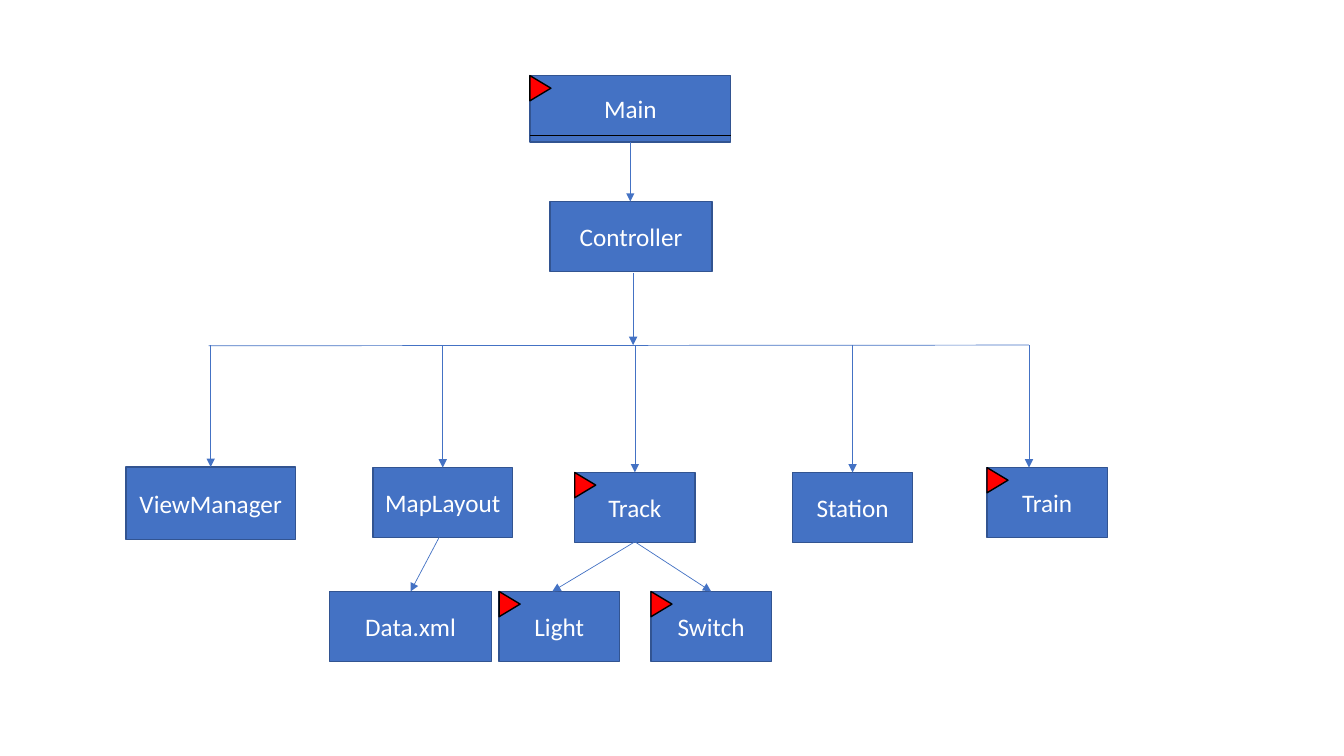
import dataclasses

import lxml.etree
import pptx
import pptx.dml.color
import pptx.enum.shapes
import pptx.enum.text
import pptx.oxml.ns
import pptx.util

Pt = pptx.util.Pt
SHAPE = pptx.enum.shapes.MSO_SHAPE
qn = pptx.oxml.ns.qn


@dataclasses.dataclass(frozen=True)
class Theme:
    node: str = "4472C4"
    node_edge: str = "325491"
    arrow: str = "4472C4"
    flag: str = "FF0000"
    ink: str = "000000"
    label: str = "FFFFFF"
    font: str = "Calibri"
    label_size: float = 18
    edge_width: float = 1
    arrow_width: float = 0.5


@dataclasses.dataclass(frozen=True)
class Box:
    left: float
    top: float
    width: float
    height: float

    @property
    def center(self):
        return self.left + self.width / 2

    @property
    def right(self):
        return self.left + self.width

    @property
    def bottom(self):
        return self.top + self.height

    def inner(self, x, y, width, height):
        return Box(self.left + x, self.top + y, width, height)


THEME = Theme()
NODE_HEIGHT = 50
FLAG_WIDTH, FLAG_HEIGHT = 15, 18


def rgb(value):
    return pptx.dml.color.RGBColor.from_string(value)


def apply(target, formats):
    for name, value in formats.items():
        setattr(target, name, value)


def add_block(slide, kind, box, fill, edge):
    block = slide.shapes.add_shape(
        kind, Pt(box.left), Pt(box.top), Pt(box.width), Pt(box.height))
    block.shadow.inherit = False
    block.fill.solid()
    block.fill.fore_color.rgb = rgb(fill)
    block.line.color.rgb = rgb(edge)
    block.line.width = Pt(THEME.edge_width)
    return block


def add_line(slide, start, end, color=THEME.arrow, arrow=True):
    line = slide.shapes.add_connector(
        pptx.enum.shapes.MSO_CONNECTOR.STRAIGHT, *map(Pt, start + end))
    line.line.color.rgb = rgb(color)
    line.line.width = Pt(THEME.arrow_width)
    if arrow:
        lxml.etree.SubElement(line.line._get_or_add_ln(), qn("a:tailEnd"), type="triangle")
    lxml.etree.SubElement(line._element.spPr, qn("a:effectLst"))


def add_flag(slide, node):
    """Put a right-pointing triangle in the node's top left corner."""
    # The unrotated frame shares its center with the upright one.
    shift = (FLAG_HEIGHT - FLAG_WIDTH) / 2
    frame = node.inner(-shift, shift, FLAG_HEIGHT, FLAG_WIDTH)
    flag = add_block(slide, SHAPE.ISOSCELES_TRIANGLE, frame, THEME.flag, THEME.ink)
    flag.rotation = 90


def add_node(slide, text, box, flagged=False):
    node = add_block(slide, SHAPE.RECTANGLE, box, THEME.node, THEME.node_edge)
    apply(node.text_frame, {
        "text": text, "word_wrap": False,
        "vertical_anchor": pptx.enum.text.MSO_ANCHOR.MIDDLE})
    paragraph = node.text_frame.paragraphs[0]
    paragraph.alignment = pptx.enum.text.PP_ALIGN.CENTER
    font = paragraph.runs[0].font
    apply(font, {"name": THEME.font, "size": Pt(THEME.label_size)})
    font.color.rgb = rgb(THEME.label)
    if flagged:
        add_flag(slide, box)


def draw_startup(slide, box):
    """Main on top, Controller below, joined by an arrow."""
    main = box.inner(0, 0, box.width, 47.5)
    controller = box.inner(14.5, box.height - NODE_HEIGHT, 115.5, NODE_HEIGHT)
    add_node(slide, "Main", main, flagged=True)
    add_node(slide, "Controller", controller)
    rule = main.top + 42.5
    add_line(slide, (main.left, rule), (main.right, rule), THEME.ink, arrow=False)
    add_line(slide, (main.center, main.bottom), (main.center, controller.top))
    return controller


def draw_modules(slide, box, controller):
    """A horizontal bus fed by the controller, with one drop to each module."""
    # text, x, y, width, height, flagged, drop offset from the node's center
    modules = [
        ("ViewManager", 0, 87, 121, 52, False, 0),
        ("MapLayout", 176.5, 87.5, 99.5, NODE_HEIGHT, False, 0),
        ("Track", 320.5, 91, 86, NODE_HEIGHT, True, 0),
        ("Station", 476, 91, 86, NODE_HEIGHT, False, 0),
        ("Train", 615, 87.5, 86, NODE_HEIGHT, True, -13),
    ]
    trunk = controller.center + 1.5
    add_line(slide, (trunk, controller.bottom + 1), (trunk, box.top))
    nodes, drops = {}, []
    for text, x, y, width, height, flagged, offset in modules:
        node = nodes[text] = box.inner(x, y, width, height)
        drops.append(node.center + offset)
        add_node(slide, text, node, flagged)
        add_line(slide, (drops[-1], box.top), (drops[-1], node.top))
    add_line(slide, (drops[0] - 1.5, box.top + 0.5), (drops[-1], box.top), arrow=False)
    return nodes


def draw_parts(slide, box, modules):
    """The bottom row, each part with an arrow from its module."""
    # text, x, width, flagged, module, arrow tip offset from the part's center
    parts = [
        ("Data.xml", 0, 115.5, False, "MapLayout", 0),
        ("Light", 121, 86, True, "Track", -5),
        ("Switch", 229.5, 86, True, "Track", 0),
    ]
    for text, x, width, flagged, module, offset in parts:
        part, owner = box.inner(x, 0, width, box.height), modules[module]
        add_node(slide, text, part, flagged)
        start = owner.bottom - (5 if module == "MapLayout" else 0.5)
        add_line(slide, (owner.center, start), (part.center + offset, part.top))


def main():
    deck = pptx.Presentation()
    apply(deck, {"slide_width": Pt(960), "slide_height": Pt(540)})
    slide = deck.slides.add_slide(deck.slide_layouts[6])
    controller = draw_startup(slide, Box(378.5, 54, 143.5, 140))
    modules = draw_modules(slide, Box(90, 246.5, 701, 141), controller)
    draw_parts(slide, Box(235.5, 422.5, 315.5, NODE_HEIGHT), modules)
    deck.save("out.pptx")


if __name__ == "__main__":
    main()
